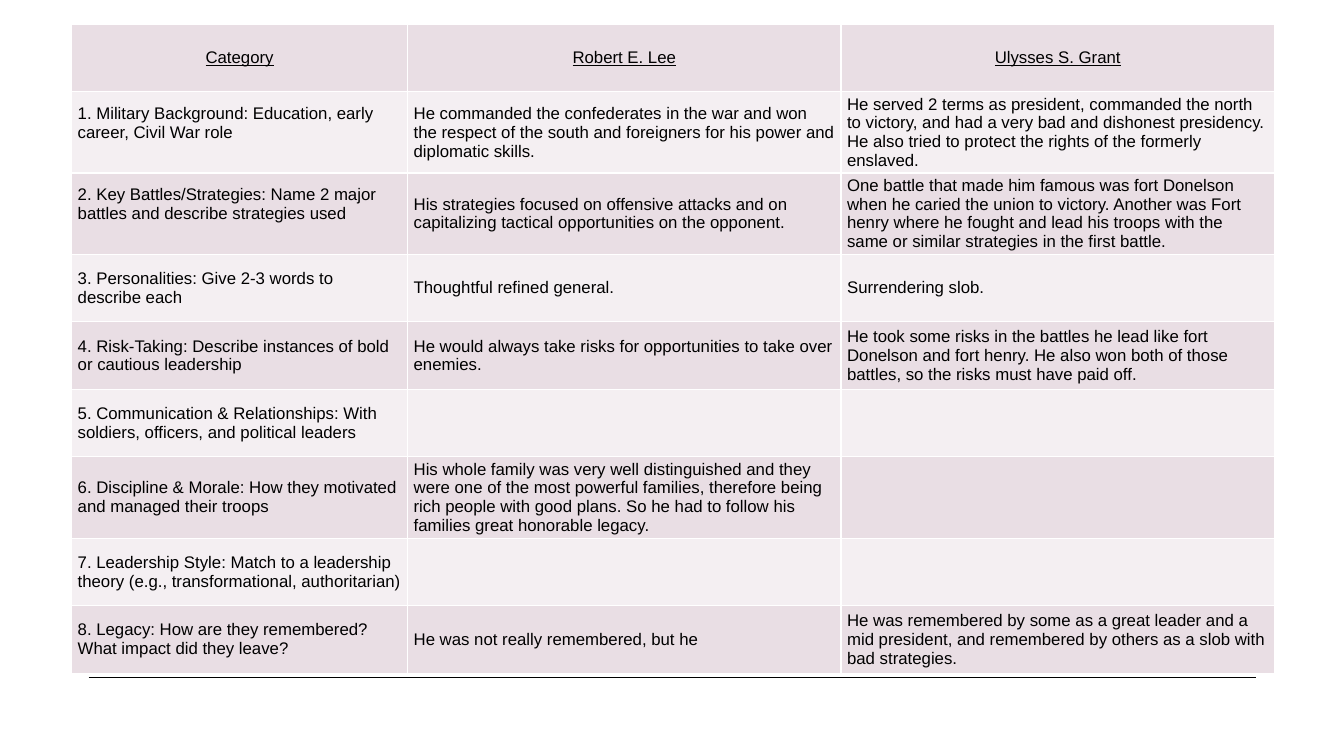
import dataclasses

import lxml.etree
import pptx
import pptx.dml.color
import pptx.enum.shapes
import pptx.enum.text
import pptx.oxml.ns
import pptx.util


@dataclasses.dataclass(frozen=True)
class Theme:
    font: str = "Arial"
    size: int = 12
    ink: str = "000000"
    dark_band: str = "E9DEE4"
    light_band: str = "F4EFF2"
    border: str = "FFFFFF"
    line_width: float = 1


THEME = Theme()
SLIDE_WIDTH = pptx.util.Inches(13.33)
SLIDE_HEIGHT = pptx.util.Inches(7.5)
GRID = 100

COLUMN_SPANS = [25, 32.25, 32.25]
ROW_SPAN = 8.93
SIDE_INSET = pptx.util.Inches(0.06)
END_INSET = pptx.util.Inches(0.03)
RAISED_INSET = pptx.util.Inches(0.22)
RAISED_ROWS = (1, 2)

COMPARISON = [
    ("Category", "Robert E. Lee", "Ulysses S. Grant"),
    (
        "1. Military Background: Education, early career, Civil War role",
        "He commanded the confederates in the war and won the respect of the south "
        "and foreigners for his power and diplomatic skills.",
        "He served 2 terms as president, commanded the north to victory, and had a "
        "very bad and dishonest presidency. He also tried to protect the rights of "
        "the formerly enslaved.",
    ),
    (
        "2. Key Battles/Strategies: Name 2 major battles and describe strategies used",
        "His strategies focused on offensive attacks and on capitalizing tactical "
        "opportunities on the opponent.",
        "One battle that made him famous was fort Donelson when he caried the union "
        "to victory. Another was Fort henry where he fought and lead his troops with "
        "the same or similar strategies in the first battle.",
    ),
    (
        "3. Personalities: Give 2-3 words to describe each",
        "Thoughtful refined general.",
        "Surrendering slob.",
    ),
    (
        "4. Risk-Taking: Describe instances of bold or cautious leadership",
        "He would always take risks for opportunities to take over enemies.",
        "He took some risks in the battles he lead like fort Donelson and fort henry. "
        "He also won both of those battles, so the risks must have paid off.",
    ),
    (
        "5. Communication & Relationships: With soldiers, officers, and political leaders",
        "",
        "",
    ),
    (
        "6. Discipline & Morale: How they motivated and managed their troops",
        "His whole family was very well distinguished and they were one of the most "
        "powerful families, therefore being rich people with good plans. So he had to "
        "follow his families great honorable legacy.",
        "",
    ),
    (
        "7. Leadership Style: Match to a leadership theory (e.g., transformational, "
        "authoritarian)",
        "",
        "",
    ),
    (
        "8. Legacy: How are they remembered? What impact did they leave?",
        "He was not really remembered, but he",
        "He was remembered by some as a great leader and a mid president, and "
        "remembered by others as a slob with bad strategies.",
    ),
]


def across(columns):
    return round(SLIDE_WIDTH * columns / GRID)


def down(rows):
    return round(SLIDE_HEIGHT * rows / GRID)


def color(value):
    return pptx.dml.color.RGBColor.from_string(value)


def write_text(frame, text, *, align=None, underline=False):
    para = frame.paragraphs[0]
    para.alignment = align
    para.font.size = pptx.util.Pt(THEME.size)
    if not text:
        return
    span = para.add_run()
    span.text = text
    span.font.name = THEME.font
    span.font.size = pptx.util.Pt(THEME.size)
    span.font.color.rgb = color(THEME.ink)
    span.font.underline = underline


def add_borders(cell):
    properties = cell._tc.get_or_add_tcPr()
    width = str(pptx.util.Pt(THEME.line_width))
    for position, side in enumerate(("a:lnL", "a:lnR", "a:lnT", "a:lnB")):
        edge = lxml.etree.Element(pptx.oxml.ns.qn(side), w=width)
        fill = lxml.etree.SubElement(edge, pptx.oxml.ns.qn("a:solidFill"))
        lxml.etree.SubElement(fill, pptx.oxml.ns.qn("a:srgbClr"), val=THEME.border)
        properties.insert(position, edge)


def style_cell(cell, fill, *, bottom=END_INSET):
    cell.vertical_anchor = pptx.enum.text.MSO_ANCHOR.MIDDLE
    cell.margin_left = cell.margin_right = SIDE_INSET
    cell.margin_top = END_INSET
    cell.margin_bottom = bottom
    cell.fill.solid()
    cell.fill.fore_color.rgb = color(fill)
    add_borders(cell)


def add_comparison(page, left, top):
    frame = page.shapes.add_table(
        len(COMPARISON), len(COLUMN_SPANS), across(left), down(top),
        across(sum(COLUMN_SPANS)), down(ROW_SPAN * len(COMPARISON)),
    )
    table = frame.table
    table.first_row = table.horz_banding = False
    for column, span in zip(table.columns, COLUMN_SPANS):
        column.width = across(span)
    for row_index, texts in enumerate(COMPARISON):
        table.rows[row_index].height = down(ROW_SPAN)
        fill = THEME.light_band if row_index % 2 else THEME.dark_band
        heading = row_index == 0
        align = pptx.enum.text.PP_ALIGN.CENTER if heading else None
        for column_index, text in enumerate(texts):
            cell = table.cell(row_index, column_index)
            raised = column_index == 0 and row_index in RAISED_ROWS
            style_cell(cell, fill, bottom=RAISED_INSET if raised else END_INSET)
            write_text(cell.text_frame, text, align=align, underline=heading)


def add_rule(page, start, end, row):
    rule = page.shapes.add_connector(
        pptx.enum.shapes.MSO_CONNECTOR.STRAIGHT,
        across(start), down(row), across(end), down(row),
    )
    rule.line.color.rgb = color(THEME.ink)
    rule.line.width = pptx.util.Pt(THEME.line_width)
    lxml.etree.SubElement(rule._element.spPr, pptx.oxml.ns.qn("a:effectLst"))


def main():
    deck = pptx.Presentation()
    deck.slide_width = SLIDE_WIDTH
    deck.slide_height = SLIDE_HEIGHT
    page = deck.slides.add_slide(deck.slide_layouts[6])
    add_rule(page, 6.6, 93.47, 89.6)
    add_comparison(page, 5.33, 3.2)
    deck.save("out.pptx")


if __name__ == "__main__":
    main()
